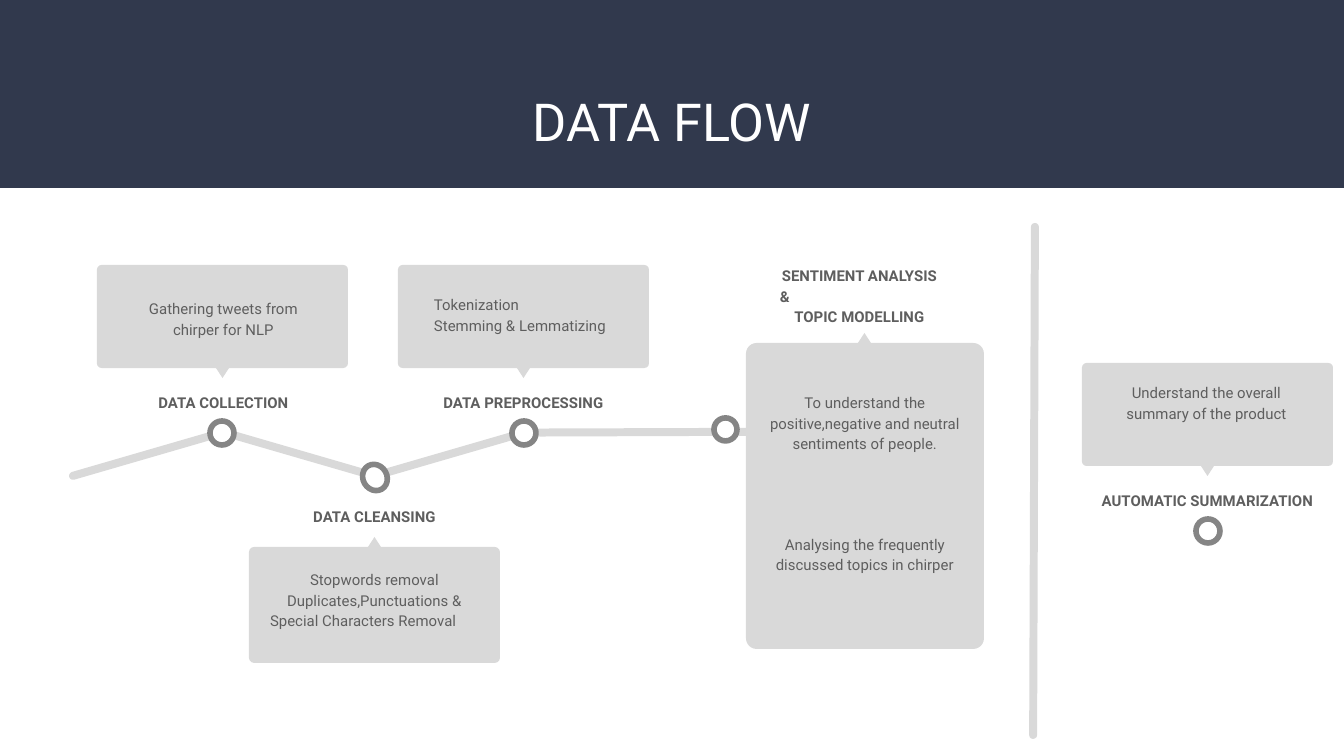
"""Build the DATA FLOW slide: a zigzag path of stages with callout cards."""
from dataclasses import dataclass
from math import atan2, degrees, hypot
from typing import NamedTuple

from pptx import Presentation
from pptx.dml.color import RGBColor
from pptx.enum.shapes import MSO_SHAPE as Preset
from pptx.enum.text import MSO_ANCHOR as Anchor, MSO_AUTO_SIZE as AutoSize, PP_ALIGN as Align
from pptx.util import Pt

EMU_PER_PX = 914400 / 134.4
COLORS = {
    "band": "31394D",
    "title": "FFFFFF",
    "card": "D9D9D9",
    "ring": "858585",
    "hole": "FFFFFF",
    "text": "5E5E5E",
}
FONT = "Roboto"
INSET = 13
BAR_THICKNESS = 8
POINTER_WIDTH, POINTER_HEIGHT = 13, 10


class Box(NamedTuple):
    left: int
    top: int
    width: int
    height: int


class Point(NamedTuple):
    x: int
    y: int


@dataclass(frozen=True)
class Line:
    text: str
    align: Align = Align.CENTER
    indent: int = 0
    space_before: int = 0


@dataclass(frozen=True)
class Stage:
    heading: list[Line]
    heading_box: Box
    node: Box
    card: Box
    body: list[Line]
    body_box: Box


PATH = [
    (Point(1035, 223), Point(1033, 739)),
    (Point(536, 433), Point(892, 432)),
    (Point(371, 477), Point(529, 431)),
    (Point(219, 431), Point(377, 477)),
    (Point(69, 477), Point(227, 431)),
]
STAGES = [
    Stage(
        [Line("SENTIMENT ANALYSIS"), Line("&", Align.LEFT, 21), Line("TOPIC MODELLING")],
        Box(746, 251, 227, 40),
        Box(714, 418, 23, 23),
        Box(746, 343, 238, 306),
        [
            Line("To understand the positive,negative and neutral sentiments of people."),
            Line("Analysing the frequently discussed topics in chirper", space_before=43),
        ],
        Box(746, 378, 238, 238),
    ),
    Stage(
        [Line("DATA CLEANSING")],
        Box(249, 492, 251, 46),
        Box(363, 464, 24, 27),
        Box(249, 547, 251, 116),
        [
            Line("Stopwords removal"),
            Line("Duplicates,Punctuations &"),
            Line("Special Characters Removal", Align.LEFT, 2),
        ],
        Box(255, 555, 239, 103),
    ),
    Stage(
        [Line("DATA COLLECTION")],
        Box(130, 378, 187, 40),
        Box(210, 421, 24, 24),
        Box(97, 265, 251, 103),
        [Line("Gathering tweets from chirper for NLP")],
        Box(130, 284, 187, 85),
    ),
    Stage(
        [Line("DATA PREPROCESSING")],
        Box(398, 378, 251, 40),
        Box(512, 421, 24, 24),
        Box(398, 265, 251, 103),
        [
            Line("Tokenization", Align.LEFT, 18),
            Line("Stemming & Lemmatizing", Align.LEFT, 18),
        ],
        Box(403, 280, 239, 83),
    ),
    Stage(
        [Line("AUTOMATIC SUMMARIZATION")],
        Box(1082, 476, 251, 40),
        Box(1196, 519, 24, 24),
        Box(1082, 363, 251, 103),
        [Line("Understand the overall summary of the product")],
        Box(1089, 368, 235, 91),
    ),
]


def px(length: float) -> int:
    """Turn a length in px into EMU."""
    return round(length * EMU_PER_PX)


def rgb(role: str) -> RGBColor:
    """Return the colour of a role."""
    return RGBColor.from_string(COLORS[role])


def draw_shape(shapes, preset: Preset, box: Box, fill: str, rotation: float = 0):
    """Draw a flat preset shape without outline."""
    shape = shapes.add_shape(preset, *map(px, box))
    shape.shadow.inherit = False
    shape.fill.solid()
    shape.fill.fore_color.rgb = rgb(fill)
    shape.line.fill.background()
    shape.rotation = rotation
    return shape


def draw_bar(shapes, start: Point, end: Point) -> None:
    """Draw a round-ended bar between two points."""
    dx, dy = end.x - start.x, end.y - start.y
    length = round(hypot(dx, dy))
    left = round((start.x + end.x - length) / 2)
    top = round((start.y + end.y - BAR_THICKNESS) / 2)
    bar = draw_shape(shapes, Preset.ROUNDED_RECTANGLE, Box(left, top, length, BAR_THICKNESS),
                     "card", round(degrees(atan2(dy, dx)), 1))
    bar.adjustments[0] = 0.5


def style_run(run, size: int, color: str, bold: bool = False) -> None:
    """Set the font of a run."""
    run.font.name = FONT
    run.font.size = Pt(size)
    run.font.bold = bold
    run.font.color.rgb = rgb(color)


def set_frame(frame, anchor: Anchor) -> None:
    """Set wrapping, insets and anchor of a text frame."""
    frame.word_wrap = True
    frame.auto_size = AutoSize.NONE
    frame.vertical_anchor = anchor
    frame.margin_left = frame.margin_right = px(INSET)
    frame.margin_top = frame.margin_bottom = px(INSET)


def draw_text(shapes, box: Box, lines: list[Line], bold: bool = False) -> None:
    """Draw a text box with one paragraph per line."""
    frame = shapes.add_textbox(*map(px, box)).text_frame
    set_frame(frame, Anchor.TOP)
    for index, line in enumerate(lines):
        paragraph = frame.add_paragraph() if index else frame.paragraphs[0]
        paragraph.alignment = line.align
        paragraph.line_spacing = 1.15
        paragraph.space_before = Pt(line.space_before)
        if line.indent:
            paragraph._p.get_or_add_pPr().set("marL", str(px(line.indent)))
        run = paragraph.add_run()
        run.text = line.text
        style_run(run, 8, "text", bold)


def draw_stage(slide, stage: Stage) -> None:
    """Draw a stage as a group of node, card, pointer and texts."""
    shapes = slide.shapes.add_group_shape().shapes
    node = draw_shape(shapes, Preset.OVAL, stage.node, "hole", 330)
    node.line.color.rgb = rgb("ring")
    node.line.width = Pt(3)
    card = stage.card
    draw_shape(shapes, Preset.ROUNDED_RECTANGLE, card, "card").adjustments[0] = 0.045
    points_down = stage.heading_box.top > card.top
    pointer_top = card.top + card.height if points_down else card.top - POINTER_HEIGHT
    pointer = Box(card.left + (card.width - POINTER_WIDTH) // 2, pointer_top,
                  POINTER_WIDTH, POINTER_HEIGHT)
    draw_shape(shapes, Preset.ISOSCELES_TRIANGLE, pointer, "card", 180 if points_down else 0)
    draw_text(shapes, stage.heading_box, stage.heading, bold=True)
    draw_text(shapes, stage.body_box, stage.body)


def draw_title(slide) -> None:
    """Draw the header band with the title on it."""
    title = slide.shapes.title
    band = draw_shape(slide.shapes, Preset.RECTANGLE, Box(0, 0, 1344, 188), "band")
    title.element.addprevious(band.element)
    title.left, title.top, title.width, title.height = map(px, Box(46, 74, 1252, 91))
    set_frame(title.text_frame, Anchor.BOTTOM)
    paragraph = title.text_frame.paragraphs[0]
    paragraph.alignment = Align.CENTER
    run = paragraph.add_run()
    run.text = "DATA FLOW"
    style_run(run, 28, "title")


def main() -> None:
    """Build and save the slide."""
    deck = Presentation()
    deck.slide_width, deck.slide_height = px(1344), px(756)
    slide = deck.slides.add_slide(deck.slide_layouts[5])
    draw_title(slide)
    for start, end in PATH:
        draw_bar(slide.shapes, start, end)
    for stage in STAGES:
        draw_stage(slide, stage)
    deck.save("out.pptx")


if __name__ == "__main__":
    main()
